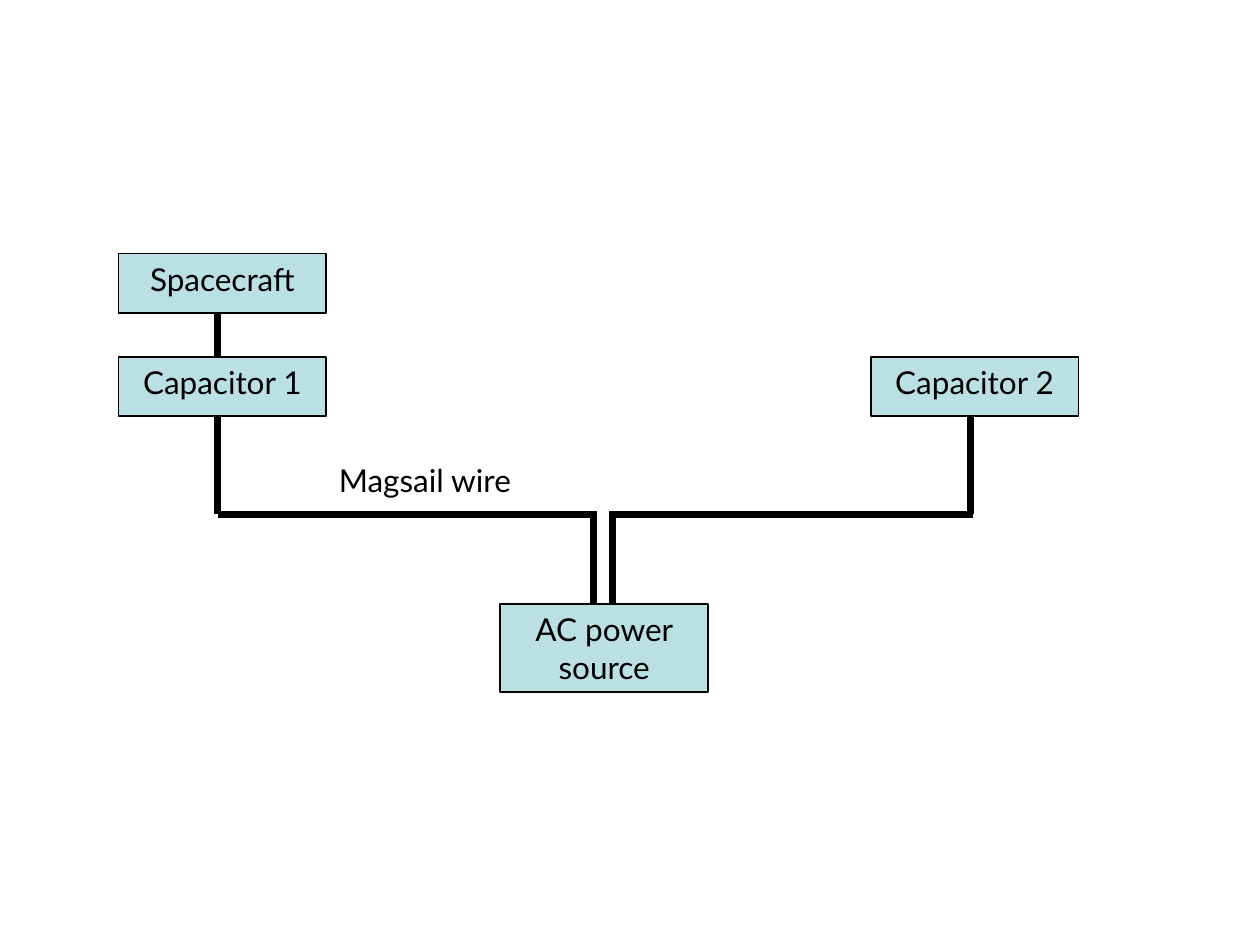
from dataclasses import dataclass

from lxml.etree import SubElement
from pptx import Presentation
from pptx.dml.color import RGBColor
from pptx.enum.shapes import MSO_CONNECTOR, MSO_SHAPE
from pptx.enum.text import MSO_ANCHOR, PP_ALIGN
from pptx.oxml.ns import qn
from pptx.util import Pt


@dataclass(frozen=True)
class Theme:
    font: str = "Lato"
    text_size: float = 18
    ink: RGBColor = RGBColor(0x00, 0x00, 0x00)
    box_fill: RGBColor = RGBColor(0xBB, 0xE0, 0xE3)
    outline_width: float = 1
    wire_width: float = 4


@dataclass(frozen=True)
class Box:
    left: float
    top: float
    width: float
    height: float

    @property
    def bottom(self):
        return self.top + self.height

    def lengths(self):
        return [Pt(value) for value in (self.left, self.top, self.width, self.height)]


THEME = Theme()


def write_lines(shape, lines, alignment):
    frame = shape.text_frame
    frame.word_wrap = True
    frame.vertical_anchor = MSO_ANCHOR.TOP
    frame.text = "\n".join(lines)
    for paragraph in frame.paragraphs:
        paragraph.alignment = alignment
        paragraph.font.name = THEME.font
        paragraph.font.size = Pt(THEME.text_size)
        paragraph.font.color.rgb = THEME.ink


def add_component(slide, box, *lines):
    shape = slide.shapes.add_shape(MSO_SHAPE.RECTANGLE, *box.lengths())
    shape.shadow.inherit = False
    shape.fill.solid()
    shape.fill.fore_color.rgb = THEME.box_fill
    shape.line.color.rgb = THEME.ink
    shape.line.width = Pt(THEME.outline_width)
    write_lines(shape, lines, PP_ALIGN.CENTER)


def add_label(slide, box, text):
    write_lines(slide.shapes.add_textbox(*box.lengths()), [text], PP_ALIGN.LEFT)


def add_wire(slide, start, end):
    wire = slide.shapes.add_connector(
        MSO_CONNECTOR.STRAIGHT, *(Pt(value) for value in (*start, *end))
    )
    wire.line.color.rgb = THEME.ink
    wire.line.width = Pt(THEME.wire_width)
    SubElement(wire._element.spPr, qn("a:effectLst"))


def add_wire_branch(slide, capacitor, source, outer_x, inner_x, outer_end):
    """Run the wire down from a capacitor, across, and down into the source."""
    level = capacitor.bottom + 56.2
    corner_overlap = THEME.wire_width / 2
    add_wire(slide, (outer_x, capacitor.bottom), (outer_x, level))
    add_wire(slide, (inner_x, level), (outer_end, level))
    add_wire(slide, (inner_x, level - corner_overlap), (inner_x, source.top + 2))


def add_circuit(slide, area):
    box_width, box_height = 118.8, 34
    capacitor_top = area.top + 58.9
    spacecraft = Box(area.left, area.top, box_width, box_height)
    capacitor_1 = Box(area.left, capacitor_top, box_width, box_height)
    capacitor_2 = Box(
        area.left + area.width - box_width, capacitor_top, box_width, box_height
    )
    source = Box(area.left + 218.2, area.bottom - 50.4, box_width, 50.4)
    left_wire = area.left + 56.8
    right_wire = area.left + 486.7

    add_wire_branch(slide, capacitor_1, source, left_wire, area.left + 271.4, left_wire)
    add_wire_branch(
        slide, capacitor_2, source, right_wire, area.left + 282.6, right_wire + 1.5
    )
    add_wire(slide, (left_wire, spacecraft.bottom), (left_wire, capacitor_1.top))

    add_component(slide, spacecraft, "Spacecraft")
    add_component(slide, capacitor_1, "Capacitor 1")
    add_component(slide, capacitor_2, "Capacitor 2")
    add_component(slide, source, "AC power", "source")
    label_box = Box(area.left + box_width, capacitor_1.bottom + 22.2, 135.4, 28.8)
    add_label(slide, label_box, "Magsail wire")


def main():
    presentation = Presentation()
    presentation.slide_width = Pt(720)
    presentation.slide_height = Pt(540)
    slide = presentation.slides.add_slide(presentation.slide_layouts[6])
    add_circuit(slide, Box(67.7, 144.9, 548.6, 250.8))
    presentation.save("out.pptx")


if __name__ == "__main__":
    main()
